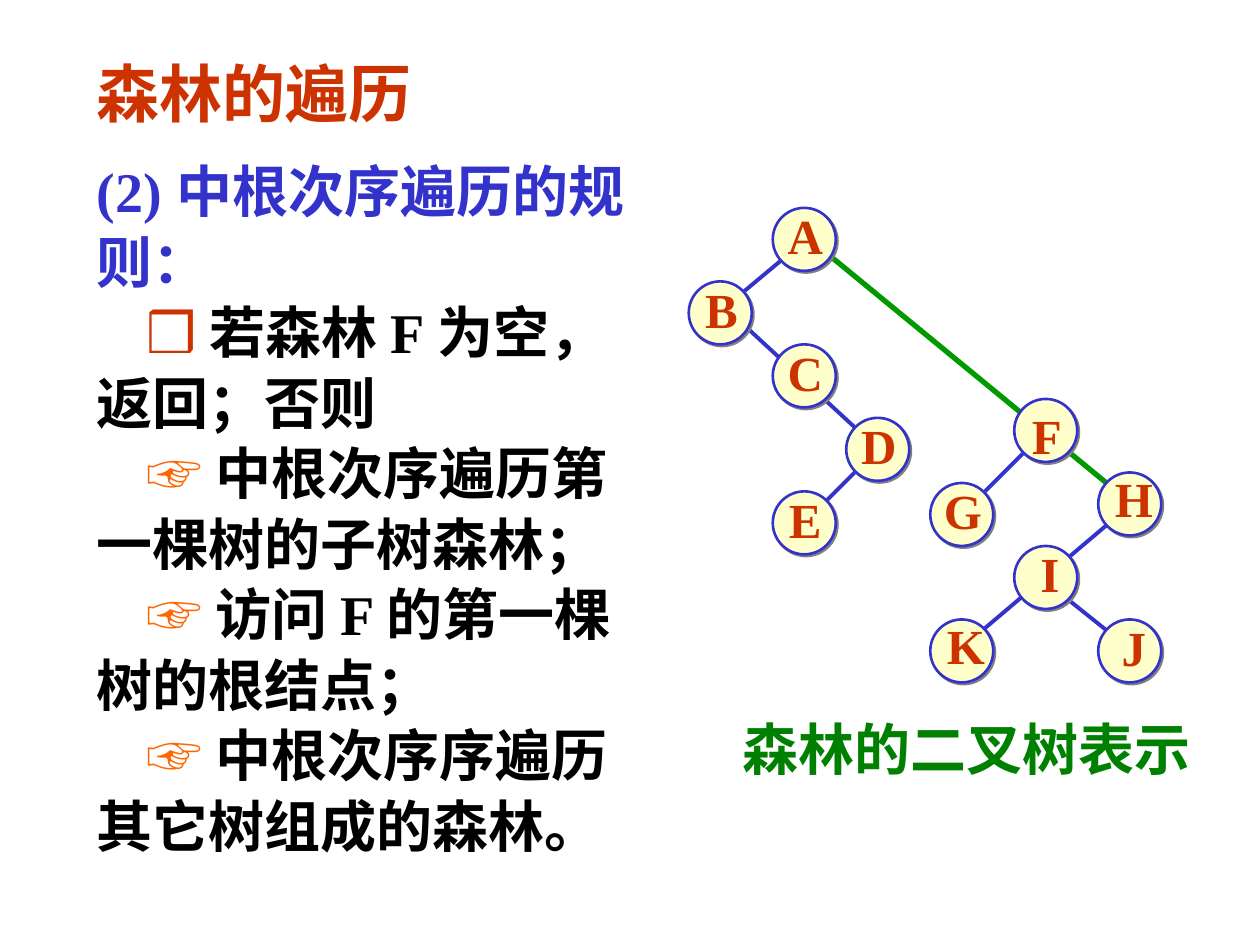
from dataclasses import dataclass
from lxml import etree
from pptx import Presentation
from pptx.dml.color import RGBColor as Rgb
from pptx.enum.shapes import MSO_CONNECTOR as Conn, MSO_SHAPE as Form
from pptx.enum.text import MSO_ANCHOR as Anchor, MSO_AUTO_SIZE as Auto, PP_ALIGN as Align
from pptx.oxml import parse_xml
from pptx.oxml.ns import nsdecls, qn
from pptx.util import Inches, Pt

WIDE, HIGH = Inches(10), Inches(7.5)
COLS, ROWS = 600, 450
SIZE = 30
RED, BLUE, GREEN, LIME = "CC3300", "3333CC", "008000", "009900"
BLACK, CREAM, GREY, ORANGE = "000000", "FFFFCC", "808080", "FF6600"
SERIF, SANS = "Times New Roman", "Arial"


@dataclass
class Node:
    name: str
    col: int
    row: int
    dx: float = 0.5
    dy: float = -2


@dataclass
class Edge:
    start: tuple[int, int]
    end: tuple[int, int]
    color: str = BLUE
    width: float = 2.25


@dataclass
class Line:
    text: str
    mark: str = ""
    tint: str = ORANGE
    color: str = BLACK


NODES = [
    Node("A", 368, 99), Node("B", 328, 134), Node("C", 368, 164),
    Node("D", 403, 199), Node("E", 368, 234), Node("F", 483, 190, 0.5, 2),
    Node("G", 443, 230), Node("H", 523, 225, 2, -3), Node("I", 483, 260, 2),
    Node("J", 523, 295, 2), Node("K", 443, 295, 2, -3),
]
EDGES = [
    Edge((393, 120), (533, 235), LIME, 3),
    Edge((378, 119), (348, 144)),
    Edge((348, 149), (413, 209)),
    Edge((413, 219), (388, 244)),
    Edge((493, 210), (463, 240)),
    Edge((533, 245), (468, 300)),
    Edge((508, 285), (533, 305)),
]
RULES = [
    Line("(2) 中根次序遍历的规则：", color=BLUE),
    Line(" 若森林 F 为空，", "❒", RED),
    Line("返回；否则"),
    Line(" 中根次序遍历第", "☞"),
    Line("一棵树的子树森林；"),
    Line(" 访问 F 的第一棵", "☞"),
    Line("树的根结点；"),
    Line(" 中根次序序遍历", "☞"),
    Line("其它树组成的森林。"),
]


def paint(code: str) -> Rgb:
    return Rgb.from_string(code)


def spot(col: float, row: float) -> tuple[int, int]:
    return int(WIDE * col / COLS), int(HIGH * row / ROWS)


def place(shape, col: float, row: float, width: float, height: float) -> None:
    shape.left, shape.top = spot(col, row)
    shape.width, shape.height = spot(width, height)


def write(para, text: str, *, size: float, color: str, face: str = SERIF, align=Align.LEFT) -> None:
    para.alignment = align
    run = para.add_run()
    run.text = text
    font = run.font
    font.name, font.size, font.bold = face, Pt(size), True
    font.color.rgb = paint(color)


def setup(frame, anchor=Anchor.TOP, wrap: bool = True) -> None:
    frame.auto_size = Auto.NONE
    frame.vertical_anchor = anchor
    frame.word_wrap = wrap


def label(slide, text: str, box: tuple, anchor=Anchor.TOP, **style) -> None:
    shape = slide.shapes.add_textbox(0, 0, 0, 0)
    place(shape, *box)
    setup(shape.text_frame, anchor, wrap=False)
    write(shape.text_frame.paragraphs[0], text, **style)


def join(slide, edge: Edge) -> None:
    line = slide.shapes.add_connector(Conn.STRAIGHT, *spot(*edge.start), *spot(*edge.end))
    line.line.color.rgb = paint(edge.color)
    line.line.width = Pt(edge.width)
    etree.SubElement(line._element.spPr, qn("a:effectLst"))


def draw(slide, node: Node) -> None:
    disc = slide.shapes.add_shape(Form.OVAL, 0, 0, 0, 0)
    place(disc, node.col, node.row, SIZE, SIZE)
    disc.fill.solid()
    disc.fill.fore_color.rgb = paint(CREAM)
    disc.line.color.rgb = paint(BLUE)
    disc.line.width = Pt(1.5)
    disc._element.spPr.append(parse_xml(
        f'<a:effectLst {nsdecls("a")}><a:outerShdw dist="{Pt(1.4)}" dir="2700000" algn="ctr" '
        f'rotWithShape="0"><a:srgbClr val="{GREY}"/></a:outerShdw></a:effectLst>'))
    label(slide, node.name, (node.col + node.dx, node.row + node.dy - 2, SIZE, SIZE + 4),
          Anchor.MIDDLE, size=28, color=RED, align=Align.CENTER)


def fill(frame, lines: list[Line]) -> None:
    setup(frame)
    frame.margin_right = Inches(0.3)
    for i, line in enumerate(lines):
        para = frame.add_paragraph() if i else frame.paragraphs[0]
        props = para._p.get_or_add_pPr()
        props.set("marL", "0")
        props.set("indent", str(Inches(0.4) if line.mark else 0))
        etree.SubElement(props, qn("a:buNone"))
        para.line_spacing = 1.05
        para.space_before = Pt(0)
        if line.mark:
            write(para, line.mark, size=32, color=line.tint, face=SANS)
        write(para, line.text, size=32, color=line.color)


def main() -> None:
    deck = Presentation()
    deck.slide_width, deck.slide_height = WIDE, HIGH
    slide = deck.slides.add_slide(deck.slide_layouts[1])
    title, body = slide.placeholders
    place(title, 40, 23, 165, 42)
    setup(title.text_frame, wrap=False)
    write(title.text_frame.paragraphs[0], "森林的遍历", size=36, color=RED, face=SANS)
    place(body, 40, 70, 300, 363)
    fill(body.text_frame, RULES)
    label(slide, "森林的二叉树表示", (347.5, 337.5, 228, 38), size=32, color=GREEN)
    for edge in EDGES:
        join(slide, edge)
    for node in NODES:
        draw(slide, node)
    deck.save("out.pptx")


if __name__ == "__main__":
    main()
